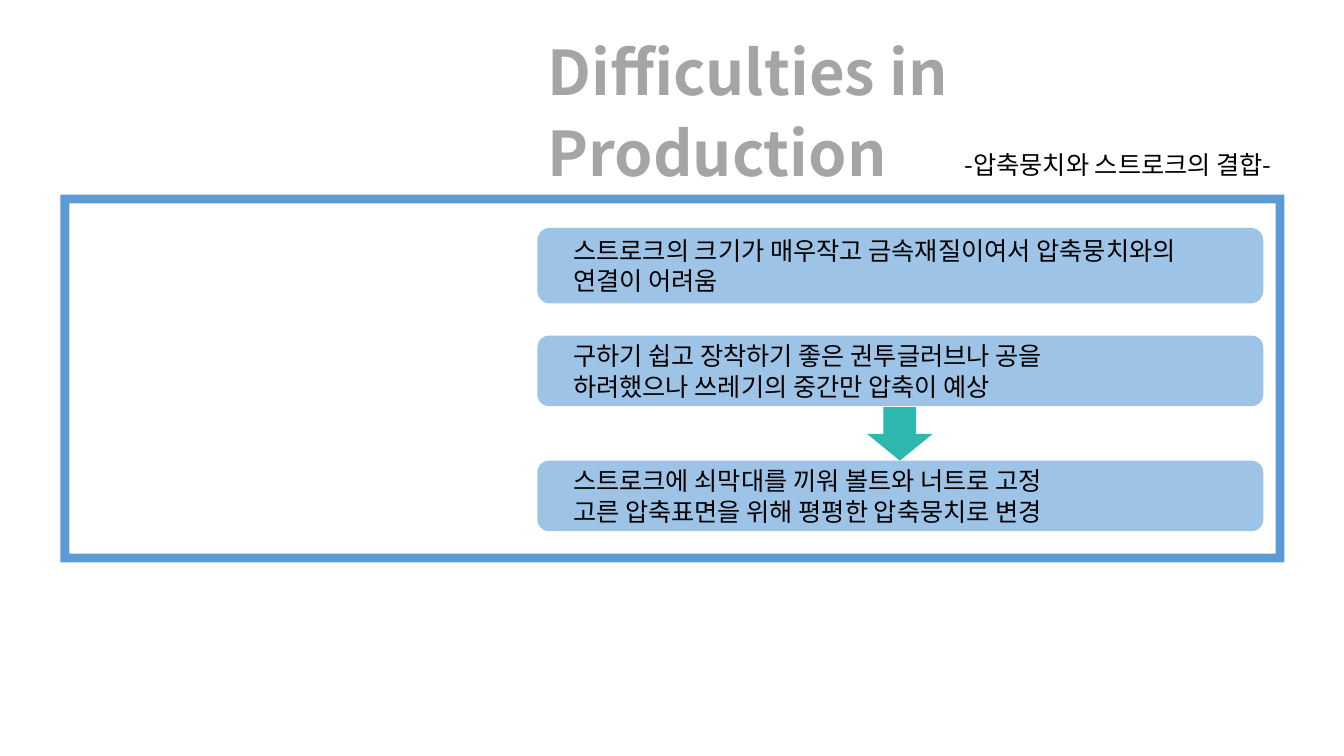
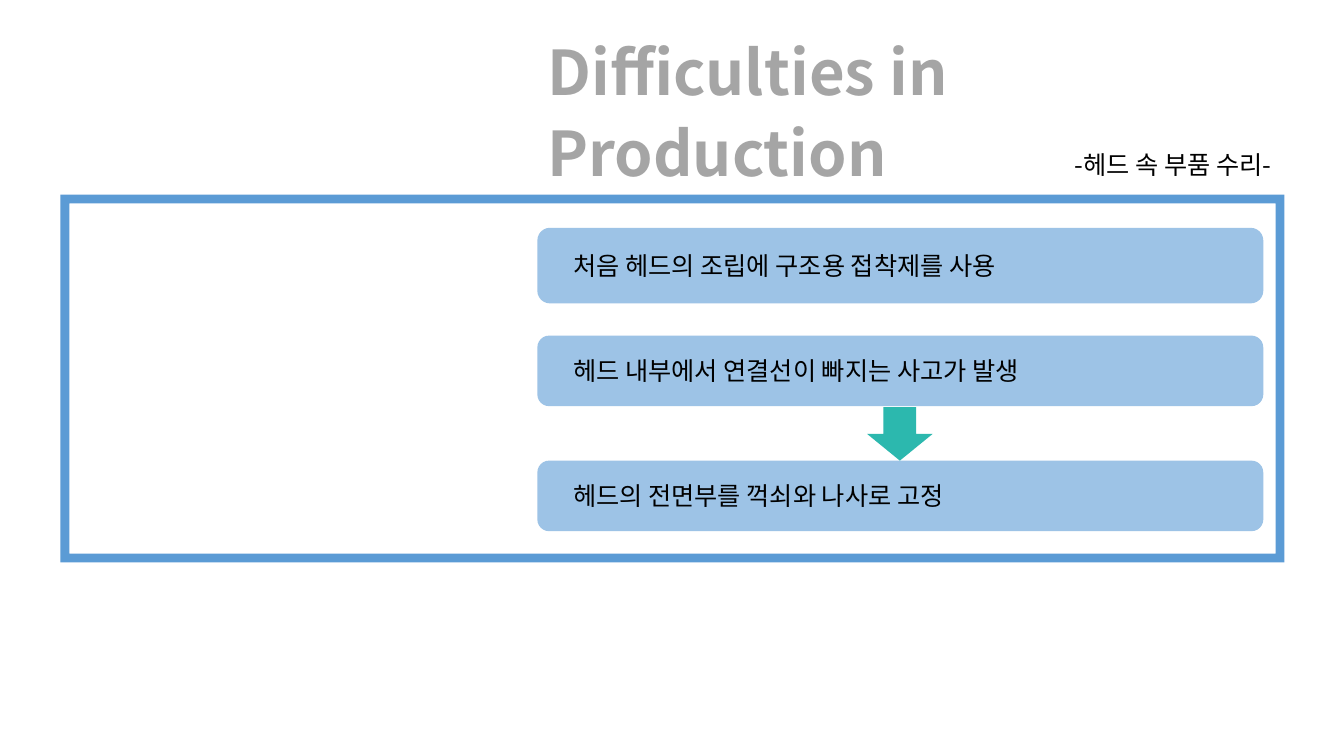
"""Build two slides on difficulties in production."""
import dataclasses

import pptx
import pptx.dml.color
import pptx.enum.shapes
import pptx.enum.text
import pptx.oxml
import pptx.oxml.ns
import pptx.util

Inches = pptx.util.Inches
Pt = pptx.util.Pt
SHAPE = pptx.enum.shapes.MSO_SHAPE
ALIGN = pptx.enum.text.PP_ALIGN
MIDDLE = pptx.enum.text.MSO_ANCHOR.MIDDLE


@dataclasses.dataclass(frozen=True)
class Theme:
    font: str = "Noto Sans CJK KR"
    frame: str = "5B9BD5"
    card: str = "9DC3E6"
    arrow: str = "2CB8AE"
    title: str = "A5A5A5"
    text: str = "000000"
    title_size: int = 44
    text_size: int = 18


theme = Theme()
heading = "Difficulties in Production"
card_rows = [(2.26, 0.75), (3.33, 0.7), (4.57, 0.7)]
topics = [
    ("-압축뭉치와 스트로크의 결합-", [
        ["스트로크의 크기가 매우작고 금속재질이여서 압축뭉치와의 연결이 어려움"],
        ["구하기 쉽고 장착하기 좋은 권투글러브나 공을",
         "하려했으나 쓰레기의 중간만 압축이 예상"],
        ["스트로크에 쇠막대를 끼워 볼트와 너트로 고정",
         "고른 압축표면을 위해 평평한 압축뭉치로 변경"],
    ]),
    ("-헤드 속 부품 수리-", [
        ["처음 헤드의 조립에 구조용 접착제를 사용"],
        ["헤드 내부에서 연결선이 빠지는 사고가 발생"],
        ["헤드의 전면부를 꺽쇠와 나사로 고정"],
    ]),
]


def add_block(slide, kind, left, top, width, height, color):
    block = slide.shapes.add_shape(
        kind, Inches(left), Inches(top), Inches(width), Inches(height))
    block.shadow.inherit = False
    block.fill.solid()
    block.fill.fore_color.rgb = pptx.dml.color.RGBColor.from_string(color)
    block.line.fill.background()
    return block


def write_lines(holder, lines, size, color, align=ALIGN.LEFT, bold=False):
    frame = holder.text_frame
    frame.word_wrap = True
    for index, line in enumerate(lines):
        paragraph = frame.add_paragraph() if index else frame.paragraphs[0]
        paragraph.alignment = align
        run = paragraph.add_run()
        run.text = line
        run.font.name = theme.font
        run.font.size = Pt(size)
        run.font.bold = bold
        run.font.color.rgb = pptx.dml.color.RGBColor.from_string(color)
    for latin in list(holder.element.iter(pptx.oxml.ns.qn("a:latin"))):
        latin.addnext(pptx.oxml.parse_xml(
            f'<a:ea {pptx.oxml.ns.nsdecls("a")} typeface="{theme.font}"/>'))


deck = pptx.Presentation()
deck.slide_width, deck.slide_height = Inches(13.33), Inches(7.5)
layout = deck.slide_layouts[5]
slides = [deck.slides.add_slide(layout) for topic in topics]

border = add_block(slides[0], SHAPE.FRAME, 0.6, 1.93, 12.14, 3.65, theme.frame)
border.adjustments[0] = 0.024
border.element.nvSpPr.cNvPr.set("id", "20")
layout.shapes.element.append(border.element)

for slide, (subject, cards) in zip(slides, topics):
    title = slide.shapes.title
    title.left, title.top = Inches(5.33), Inches(0.56)
    title.width, title.height = Inches(7.6), Inches(1.01)
    title.text_frame.auto_size = pptx.enum.text.MSO_AUTO_SIZE.NONE
    title.text_frame.vertical_anchor = MIDDLE
    write_lines(title, [heading], theme.title_size, theme.title, bold=True)
    title.text_frame.paragraphs[0].line_spacing = 1.1
    title.text_frame.paragraphs[0].space_before = Pt(0.2 * theme.title_size)

    subtitle = slide.shapes.add_textbox(
        Inches(5.33), Inches(1.43), Inches(7.38), Inches(0.4))
    write_lines(subtitle, [subject], theme.text_size, theme.text, ALIGN.RIGHT)

    for (top, height), lines in zip(card_rows, cards):
        card = add_block(slide, SHAPE.ROUNDED_RECTANGLE, 5.33, top, 7.2, height,
                         theme.card)
        body = card.text_frame
        body.margin_left, body.margin_right = Inches(0.32), Inches(0.53)
        body.margin_top = body.margin_bottom = 0
        body.vertical_anchor = MIDDLE
        write_lines(card, lines, theme.text_size, theme.text)

    add_block(slide, SHAPE.DOWN_ARROW, 8.6, 4.04, 0.65, 0.53, theme.arrow)

deck.save("out.pptx")
